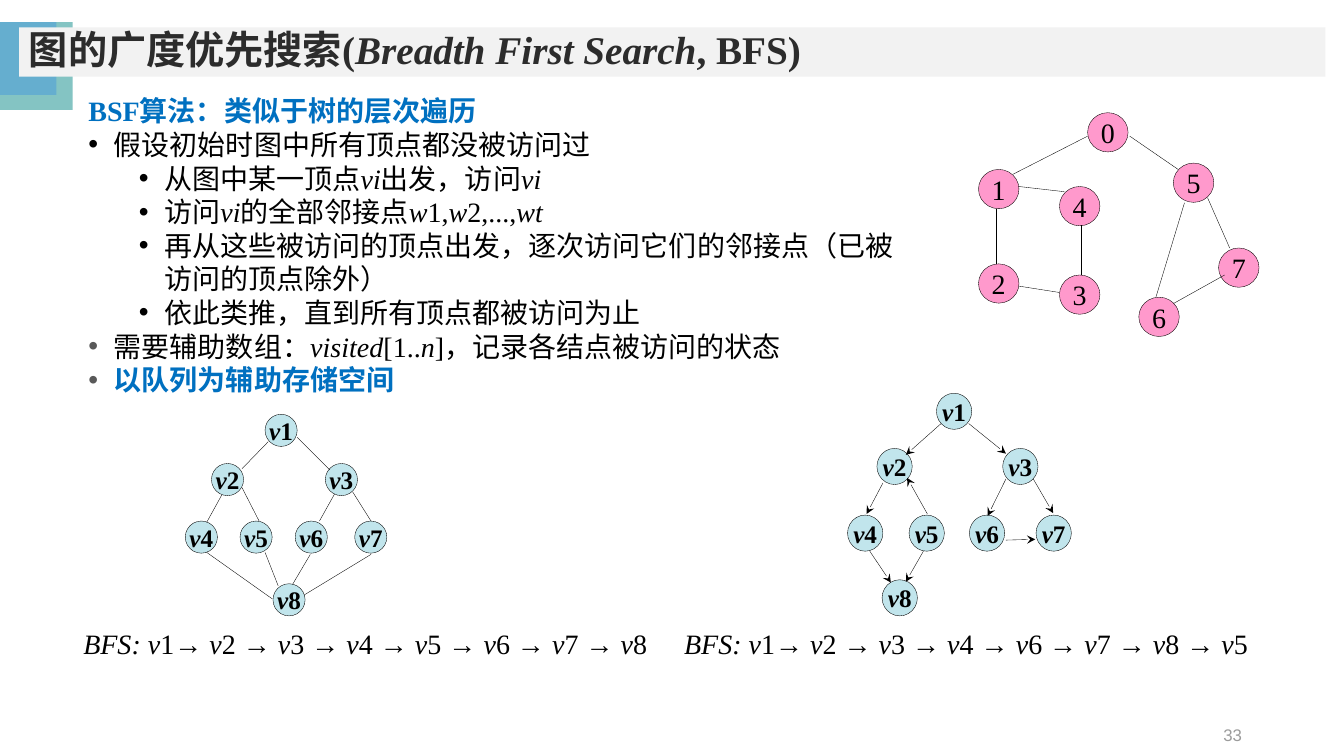
from lxml import etree
from pptx import Presentation
from pptx import util as u
from pptx.dml.color import RGBColor
from pptx.enum import shapes, text
from pptx.oxml import ns

rgb = RGBColor.from_string
SERIF, SANS = "Times New Roman", "Noto Sans CJK SC"
BLACK, BLUE = "000000", "0070C0"


def write(para, marked, size=20, color=BLACK, bold=False, font=SERIF):
    for index, part in enumerate(marked.split("*")):
        if part:
            span = para.add_run()
            span.text = part
            span.font.size = u.Pt(size)
            span.font.name = font
            span.font.bold = bold
            span.font.italic = index % 2 == 1
            span.font.color.rgb = rgb(color)
            east = etree.SubElement(span.font._element, ns.qn("a:ea"))
            east.set("typeface", SANS)


def add_filled(holder, kind, place, fill):
    shape = holder.shapes.add_shape(kind, *map(u.Cm, place))
    shape.shadow.inherit = False
    shape.fill.solid()
    shape.fill.fore_color.rgb = rgb(fill)
    shape.line.fill.background()
    shape.text_frame.vertical_anchor = text.MSO_ANCHOR.MIDDLE
    return shape


deck = Presentation()
deck.slide_width, deck.slide_height = u.Cm(33.87), u.Cm(19.05)
page = deck.slides.add_slide(deck.slide_layouts[6])

for width, height, fill in [(1.83, 2.21, "84C4C3"), (1.42, 1.83, "65AECF")]:
    add_filled(page, shapes.MSO_SHAPE.RECTANGLE, (0, 0.56, width, height), fill)

title = add_filled(page, shapes.MSO_SHAPE.RECTANGLE, (0.48, 0.69, 32.92, 1.24), "F2F2F2")
title.text_frame.word_wrap = True
para = title.text_frame.paragraphs[0]
para.alignment = text.PP_ALIGN.LEFT
para.line_spacing = 0.9
write(para, "图的广度优先搜索(*Breadth First Search*, BFS)", size=28, color="2C2C2C", bold=True)

number = page.shapes.add_textbox(*map(u.Cm, (23.93, 18.01, 7.62, 1.02)))
number.text_frame.word_wrap = True
number.text_frame.vertical_anchor = text.MSO_ANCHOR.MIDDLE
para = number.text_frame.paragraphs[0]
para.alignment = text.PP_ALIGN.RIGHT
write(para, "33", size=12, color="9B9B9B", font="Arial")

heading = dict(color=BLUE, bold=True)
outline = [
    (None, None, "BSF算法：类似于树的层次遍历", heading),
    (0, BLACK, "假设初始时图中所有顶点都没被访问过", {}),
    (1, BLACK, "从图中某一顶点*vi*出发，访问*vi*", {}),
    (1, BLACK, "访问*vi*的全部邻接点*w*1,*w*2,...,*wt*", {}),
    (1, BLACK, "再从这些被访问的顶点出发，逐次访问它们的邻接点（已被访问的顶点除外）", {}),
    (1, BLACK, "依此类推，直到所有顶点都被访问为止", {}),
    (0, "595959", "需要辅助数组：*visited*[1..*n*]，记录各结点被访问的状态", {}),
    (0, "595959", "以队列为辅助存储空间", dict(heading, font=SANS)),
]
body = page.shapes.add_textbox(*map(u.Cm, (1.98, 2.24, 21.39, 7.9)))
body.text_frame.word_wrap = True
for index, (level, bullet_color, line, style) in enumerate(outline):
    para = body.text_frame.add_paragraph() if index else body.text_frame.paragraphs[0]
    para.line_spacing = u.Pt(24)
    if level is not None:
        para.level = level
        props = para._p.get_or_add_pPr()
        props.set("marL", str(u.Cm(0.64 + 1.27 * level)))
        props.set("indent", str(u.Cm(-0.64)))
        tint = etree.SubElement(props, ns.qn("a:buClr"))
        etree.SubElement(tint, ns.qn("a:srgbClr")).set("val", bullet_color)
        etree.SubElement(props, ns.qn("a:buFont")).set("typeface", "Arial")
        etree.SubElement(props, ns.qn("a:buChar")).set("char", "•")
    write(para, line, **style)

tree_style = dict(size=18, bold=True)
graphs = [
    ("C1E5EC", (0.81, 0.81), tree_style, False, {
        "*v*1": (6.68, 10.44), "*v*2": (5.33, 11.68), "*v*3": (8.2, 11.68),
        "*v*4": (4.67, 13.13), "*v*5": (6.05, 13.13), "*v*6": (7.44, 13.13),
        "*v*7": (8.94, 13.13), "*v*8": (6.88, 14.71),
    }, [
        (6.76, 11.13, 6.1, 11.81), (7.49, 11.02, 8.31, 11.84),
        (5.59, 12.47, 5.21, 13.16), (6.1, 12.29, 6.53, 13.13),
        (8.43, 12.45, 8.05, 13.13), (8.89, 12.4, 9.35, 13.13),
        (6.68, 13.92, 7.01, 14.76), (7.82, 13.97, 7.37, 14.73),
        (5.21, 13.92, 6.86, 15.09), (9.35, 13.97, 7.67, 14.99),
    ]),
    ("C1E5EC", (0.89, 0.91), tree_style, True, {
        "*v*1": (23.6, 9.91), "*v*2": (22.1, 11.3), "*v*3": (25.27, 11.3),
        "*v*4": (21.36, 12.98), "*v*5": (22.91, 12.98), "*v*6": (24.43, 12.98),
        "*v*7": (26.11, 12.98), "*v*8": (22.23, 14.61),
    }, [
        (23.72, 10.67, 22.83, 11.46), (24.41, 10.67, 25.35, 11.43),
        (22.25, 12.17, 21.84, 12.95), (23.37, 12.95, 22.86, 12.04),
        (21.92, 13.89, 22.45, 14.68), (23.27, 13.89, 22.83, 14.66),
        (25.35, 12.07, 24.89, 13), (25.35, 13.61, 26.09, 13.59),
        (26.04, 12.07, 26.54, 12.93),
    ]),
    ("FF99CC", (1.02, 0.99), {}, False, {
        "0": (27.41, 2.84), "1": (24.66, 4.27), "2": (24.66, 6.65), "3": (26.7, 6.93),
        "4": (26.7, 4.7), "5": (29.57, 4.11), "6": (28.7, 7.49), "7": (30.71, 6.25),
    }, [
        (25.53, 4.39, 27.41, 3.43), (25.1, 5.26, 25.1, 6.65),
        (25.68, 7.21, 26.7, 7.37), (27.25, 6.93, 27.25, 5.66),
        (25.68, 4.7, 26.82, 4.83), (28.47, 3.43, 29.69, 4.27),
        (30.43, 4.98, 30.99, 6.25), (29.85, 5.11, 29.13, 7.49),
        (29.57, 7.65, 30.86, 6.93),
    ]),
]
for fill, size, style, directed, nodes, edges in graphs:
    graph = page.shapes.add_group_shape()
    for label, corner in nodes.items():
        node = add_filled(graph, shapes.MSO_SHAPE.OVAL, corner + size, fill)
        node.line.color.rgb = rgb(BLACK)
        node.line.width = u.Pt(0.25)
        frame = node.text_frame
        frame.word_wrap = False
        frame.margin_left = frame.margin_right = frame.margin_top = frame.margin_bottom = 0
        frame.paragraphs[0].alignment = text.PP_ALIGN.CENTER
        write(frame.paragraphs[0], label, **style)
    for ends in edges:
        edge = graph.shapes.add_connector(shapes.MSO_CONNECTOR.STRAIGHT, *map(u.Cm, ends))
        edge.line.color.rgb = rgb(BLACK)
        edge.line.width = u.Pt(0.25)
        if directed:
            etree.SubElement(edge.line._get_or_add_ln(), ns.qn("a:tailEnd")).set("type", "stealth")
        etree.SubElement(edge._element.spPr, ns.qn("a:effectLst"))

for left, top, order in [(1.85, 15.65, "12345678"), (16.99, 15.67, "12346785")]:
    caption = page.shapes.add_textbox(*map(u.Cm, (left, top, 15.44, 1.12)))
    caption.text_frame.word_wrap = True
    caption.text_frame.auto_size = text.MSO_AUTO_SIZE.SHAPE_TO_FIT_TEXT
    visits = f"*BFS: v*{order[0]}*→ v*" + "* → v*".join(order[1:])
    write(caption.text_frame.paragraphs[0], visits)

deck.save("out.pptx")
